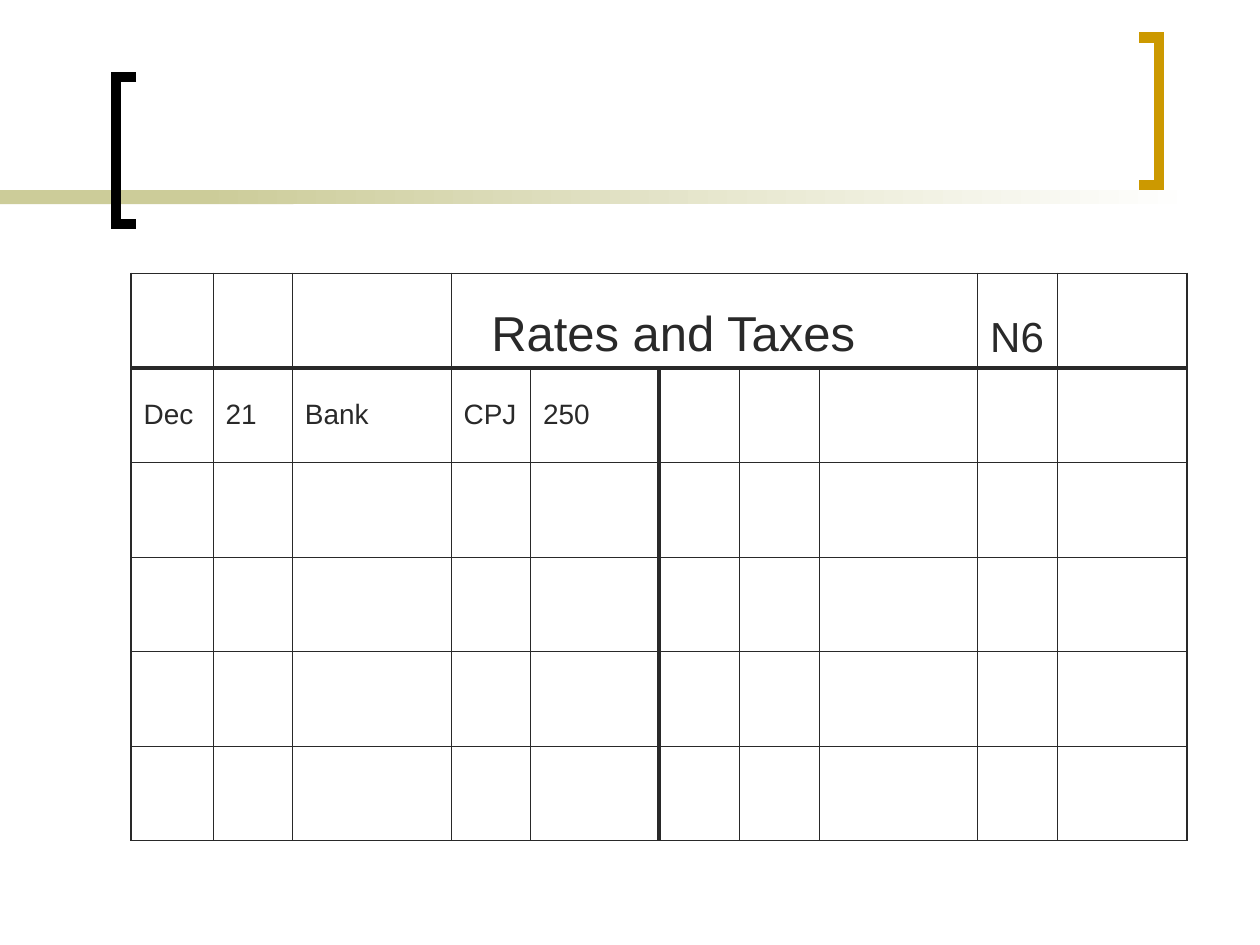
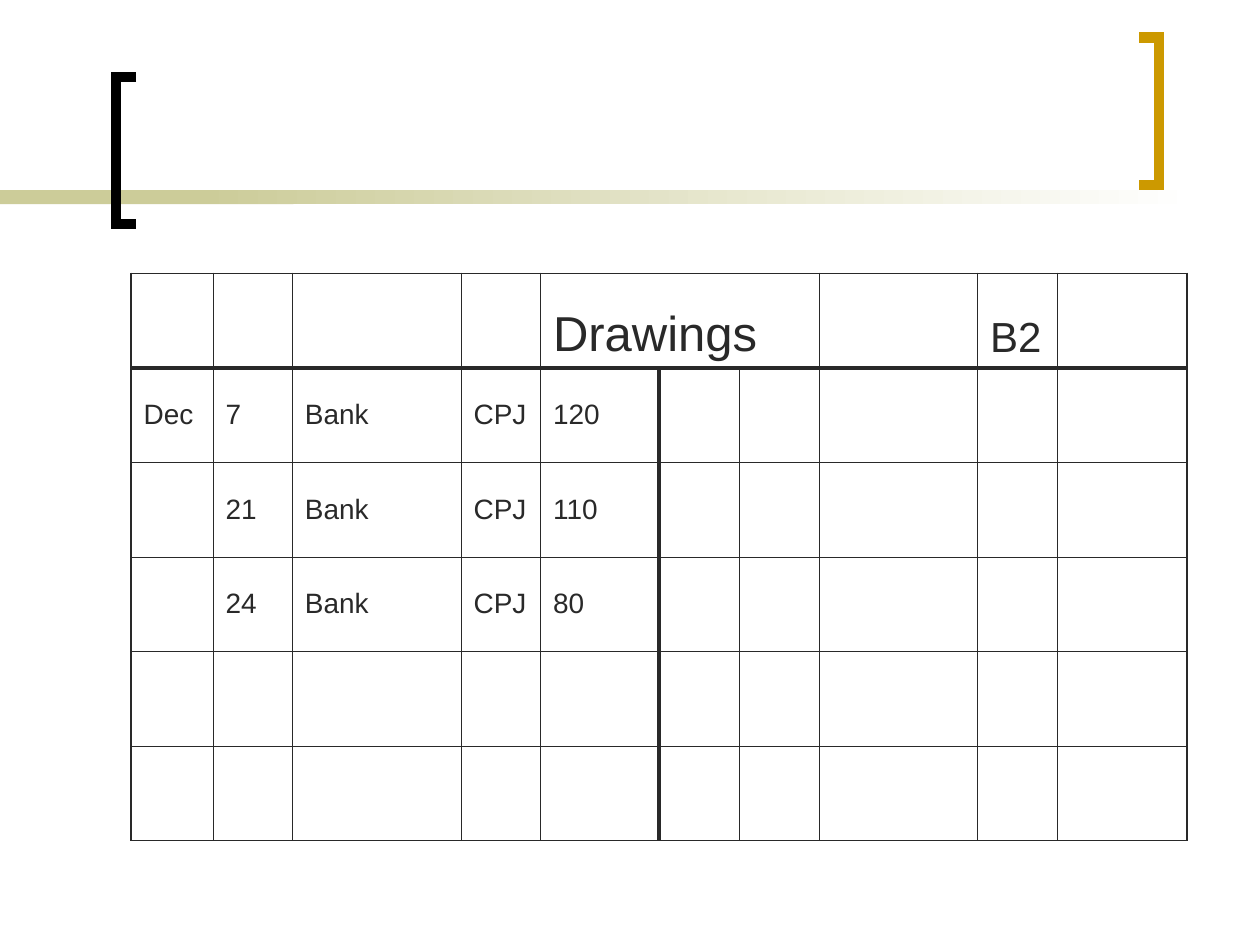
import pptx
import pptx.util
import pptx.dml.color
import pptx.enum.shapes
import pptx.enum.text
import pptx.oxml
import pptx.oxml.ns

Inches = pptx.util.Inches
Pt = pptx.util.Pt

COLORS = {"band": "CCCC99", "paper": "FFFFFF", "black": "000000", "gold": "CC9900", "ink": "292929"}
FONT = "Arial"
THIN, OUTER, HEAVY = 0.45, 1.08, 2.21
ROWS, COLUMNS, DEBIT_COLUMNS = 6, 10, 5
CREDIT_WIDTHS = [0.64, 0.63, 1.26, 0.63, 1.03]
PLAIN_TABLE_STYLE = "{2D5ABB26-0587-4C30-8999-92F81FD0307C}"

# Each account: debit column widths, header cells as {column: (text, size, span, indent)}, entries
ACCOUNTS = [
    {
        "debit_widths": [0.65, 0.63, 1.26, 0.63, 1.02],
        "header": {3: ("Rates and Taxes", 28, 5, 0.22), 8: ("N6", 24, 1, 0)},
        "entries": [["Dec", "21", "Bank", "CPJ", "250"]],
    },
    {
        "debit_widths": [0.65, 0.63, 1.34, 0.63, 0.94],
        "header": {4: ("Drawings", 28, 3, 0), 8: ("B2", 24, 1, 0)},
        "entries": [
            ["Dec", "7", "Bank", "CPJ", "120"],
            ["", "21", "Bank", "CPJ", "110"],
            ["", "24", "Bank", "CPJ", "80"],
        ],
    },
]


def rgb(name):
    return pptx.dml.color.RGBColor.from_string(COLORS[name])


def add_band(page, left, width, fades=False):
    band = page.shapes.add_shape(pptx.enum.shapes.MSO_SHAPE.RECTANGLE,
                                 Inches(left), Inches(1.51), Inches(width), Inches(0.11))
    band.shadow.inherit = False
    band.line.fill.background()
    if fades:
        band.fill.gradient()
        band.fill.gradient_angle = 0
        for stop, color in zip(band.fill.gradient_stops, ("band", "paper")):
            stop.color.rgb = rgb(color)
    else:
        band.fill.solid()
        band.fill.fore_color.rgb = rgb("band")


def add_bracket(page, tip, spine, top, color):
    bottom = top + 1.17
    points = [(Inches(x), Inches(y)) for x, y in
              [(tip, top), (spine, top), (spine, bottom), (tip, bottom)]]
    builder = page.shapes.build_freeform(*points[0], scale=1.0)
    builder.add_line_segments(points[1:], close=False)
    bracket = builder.convert_to_shape()
    bracket.shadow.inherit = False
    bracket.fill.background()
    bracket.line.color.rgb = rgb(color)
    bracket.line.width = Pt(6)
    line = bracket.line._get_or_add_ln()
    line.append(pptx.oxml.parse_xml(f'<a:miter {pptx.oxml.ns.nsdecls("a")} lim="800000"/>'))


def add_frame(page):
    add_band(page, 0, 2.33)
    add_band(page, 1.58, 7.92, fades=True)
    add_bracket(page, 1.08, 0.92, 0.61, "black")
    add_bracket(page, 9.04, 9.2, 0.3, "gold")


def column_rule(edge, row):
    if edge in (0, COLUMNS):
        return OUTER
    return HEAVY if edge == DEBIT_COLUMNS and row > 0 else THIN


def row_rule(edge):
    if edge in (0, ROWS):
        return OUTER
    return HEAVY if edge == 1 else THIN


def draw_borders(cell, row, column):
    widths = {"T": row_rule(row), "B": row_rule(row + 1)}
    if not cell.is_spanned:
        last = column + (cell.span_width if cell.is_merge_origin else 1)
        widths = {"L": column_rule(column, row), "R": column_rule(last, row), **widths}
    properties = cell._tc.get_or_add_tcPr()
    for side, width in widths.items():
        properties.append(pptx.oxml.parse_xml(
            f'<a:ln{side} {pptx.oxml.ns.nsdecls("a")} w="{Pt(width)}"><a:solidFill>'
            f'<a:srgbClr val="{COLORS["ink"]}"/></a:solidFill></a:ln{side}>'))


def write_cell(cell, text, size, anchor, indent=0):
    cell.text = text
    cell.vertical_anchor = anchor
    cell.margin_left = Inches(0.1 + indent)
    font = cell.text_frame.paragraphs[0].font
    font.name, font.size = FONT, Pt(size)
    font.color.rgb = rgb("ink")


def add_ledger(page, account):
    frame = page.shapes.add_table(ROWS, COLUMNS, Inches(1.04), Inches(2.17),
                                  Inches(8.38), Inches(0.75 * ROWS))
    table = frame.table
    table.first_row = table.horz_banding = False
    table._tbl.tblPr.find(pptx.oxml.ns.qn("a:tableStyleId")).text = PLAIN_TABLE_STYLE
    for column, width in zip(table.columns, account["debit_widths"] + CREDIT_WIDTHS):
        column.width = Inches(width)

    # Account name and folio
    for column, (text, size, span, indent) in account["header"].items():
        cell = table.cell(0, column)
        if span > 1:
            cell.merge(table.cell(0, column + span - 1))
        write_cell(cell, text, size, pptx.enum.text.MSO_ANCHOR.BOTTOM, indent)

    # Debit entries
    for row, entry in enumerate(account["entries"], start=1):
        for column, text in enumerate(entry):
            if text:
                write_cell(table.cell(row, column), text, 16, pptx.enum.text.MSO_ANCHOR.MIDDLE)

    # Ruling
    for row in range(ROWS):
        for column in range(COLUMNS):
            cell = table.cell(row, column)
            draw_borders(cell, row, column)
            cell.fill.background()


def main():
    deck = pptx.Presentation()
    deck.slide_width, deck.slide_height = Inches(10), Inches(7.5)
    for account in ACCOUNTS:
        page = deck.slides.add_slide(deck.slide_layouts[6])
        add_frame(page)
        add_ledger(page, account)
    deck.save("out.pptx")


if __name__ == "__main__":
    main()
